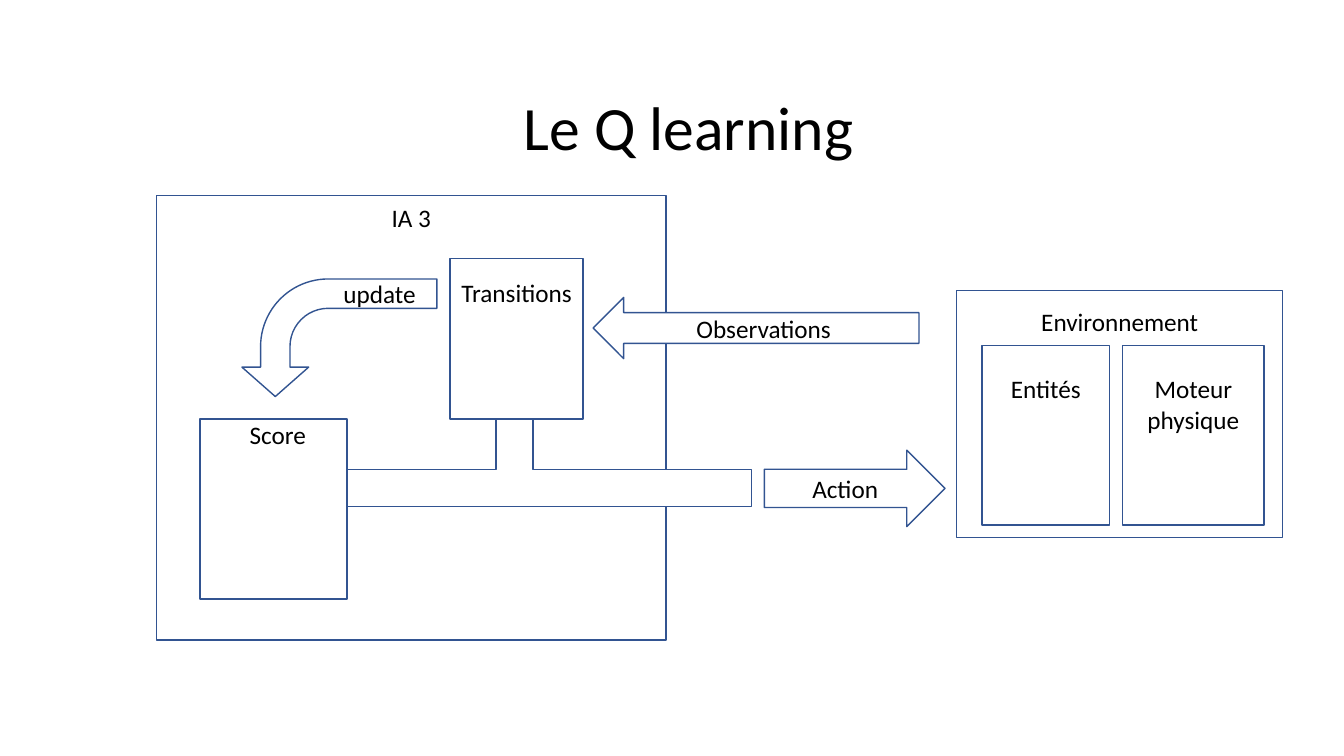
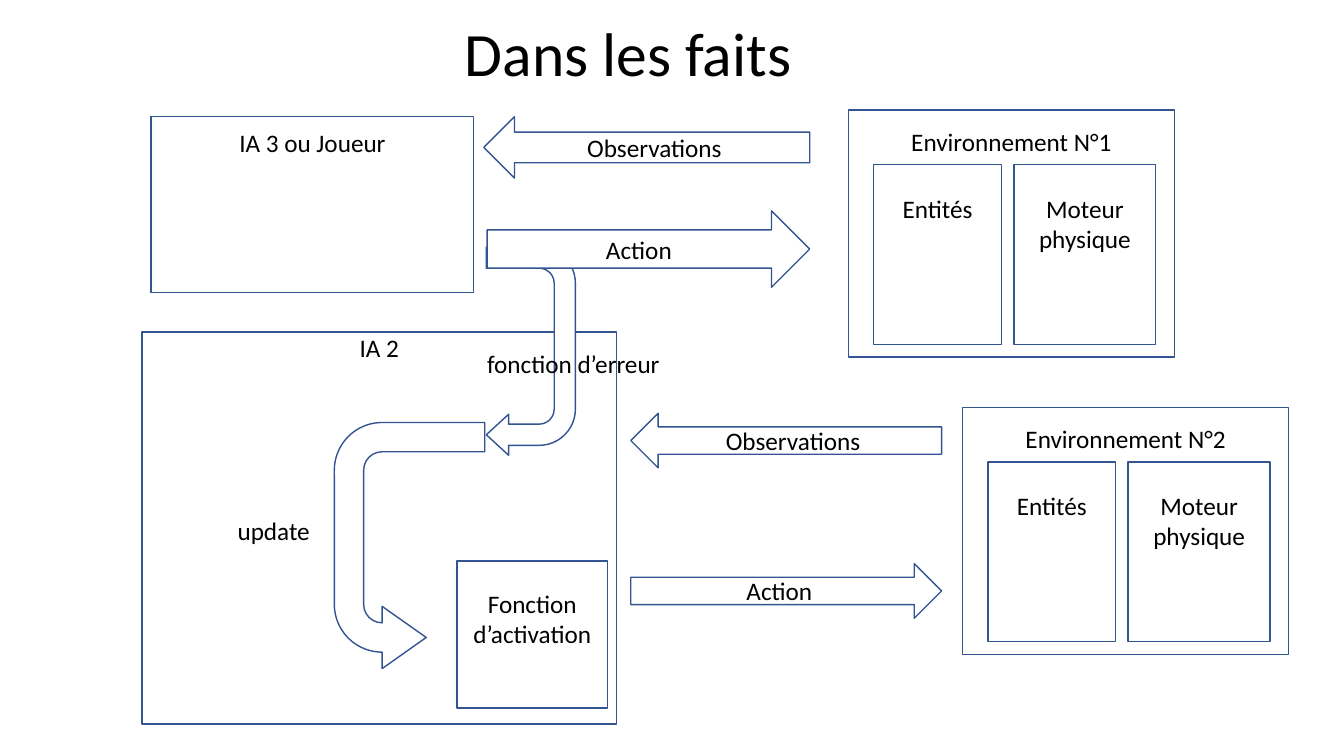
import pptx
import pptx.util
import pptx.dml.color
import pptx.enum.shapes
import pptx.enum.text

KIND = pptx.enum.shapes.MSO_SHAPE
ALIGN = pptx.enum.text.PP_ALIGN
ANCHOR = pptx.enum.text.MSO_ANCHOR

COLS, ROWS = 160, 90  # square cells, twelve to the inch
INK, PAPER, EDGE = "000000", "FFFFFF", "325491"
FONT = {"name": "Calibri", "bold": False}
BODY = {**FONT, "size": pptx.util.Pt(18)}
HEAD = {**FONT, "size": pptx.util.Pt(44)}


def cell(num):
    return pptx.util.Inches(num / 12)


def hue(code):
    return pptx.dml.color.RGBColor.from_string(code)


def apply(item, form):
    for name, value in form.items():
        setattr(item, name, value)


def write(shape, text, style, align, **frame):
    """Put one styled paragraph in a shape; frame holds text frame settings."""
    apply(shape.text_frame, {"word_wrap": True, **frame})
    para = shape.text_frame.paragraphs[0]
    para.text, para.alignment = text, align
    apply(para.font, style)
    para.font.color.rgb = hue(INK)
    return para


def title(sld, box, text):
    head = sld.shapes.title
    apply(head, dict(zip(("left", "top", "width", "height"), map(cell, box))))
    para = write(head, text, HEAD, ALIGN.CENTER, vertical_anchor=ANCHOR.MIDDLE)
    para.line_spacing = 0.9


def draw(sld, kind, box, text="", adj=(), turn=0, flip=None, **frame):
    """Outlined preset shape, its text centred unless frame says otherwise."""
    shape = sld.shapes.add_shape(kind, *map(cell, box))
    shape.shadow.inherit = False
    shape.fill.solid()
    shape.fill.fore_color.rgb = hue(PAPER)
    shape.line.color.rgb = hue(EDGE)
    shape.line.width = pptx.util.Pt(1)
    for i, value in enumerate(adj):
        shape.adjustments[i] = value
    shape.rotation = turn
    if flip:
        shape._element.spPr.xfrm.set(flip, "1")
    if text:
        write(shape, text, BODY, ALIGN.CENTER,
              **{"vertical_anchor": ANCHOR.MIDDLE, **frame})


def block(sld, box, text, drop, left=1.2):
    """Rectangle with its name set drop cells below the top edge."""
    draw(sld, KIND.RECTANGLE, box, text, vertical_anchor=ANCHOR.TOP,
         margin_top=cell(drop), margin_left=cell(left))


def label(sld, box, text):
    note = sld.shapes.add_textbox(*map(cell, box))
    write(note, text, BODY, ALIGN.LEFT, word_wrap=False)


def world(sld, x, y, name):
    """Environment with its two parts."""
    block(sld, (x, y, 38.8, 29.4), name, 1.9)
    for dx, wide, text in ((3, 15.2, "Entités"), (19.7, 16.9, "Moteur physique")):
        block(sld, (x + dx, y + 6.5, wide, 21.4), text, 3.4)


def flow(sld, seen, act):
    """Arrows between an agent and its environment."""
    draw(sld, KIND.LEFT_ARROW, seen, "Observations")
    draw(sld, KIND.RIGHT_ARROW, act, "Action")


def learner(sld, x, y):
    """Agent that scores its transitions."""
    block(sld, (x, y, 60.7, 52.9), "IA 3", 0.8)
    draw(sld, KIND.BENT_ARROW, (x + 14.8, y + 5.3, 14, 23.2),
         adj=(0.25, 0.284, 0.25, 0.575), turn=90, flip="flipV")
    draw(sld, KIND.LEFT_RIGHT_UP_ARROW, (x + 14.4, y + 24.3, 56.5, 12.7),
         adj=(0.443, 0.173, 0))
    block(sld, (x + 35, y + 7.5, 15.8, 19.1), "Transitions", 2.2)
    block(sld, (x + 5.2, y + 26.6, 17.5, 21.4), "Score", 0, 2.2)
    label(sld, (x + 21.1, y + 9.2, 11.2, 4.8), "update")


def student(sld, x, y):
    """Agent corrected by the error it is fed."""
    block(sld, (x, y, 56.5, 46.7), "IA 2", 0)
    block(sld, (x + 37.5, y + 27.3, 17.9, 17.5), "Fonction d’activation", 3.2)
    draw(sld, KIND.U_TURN_ARROW, (x + 17.2, y + 16.5, 29.3, 17.9),
         adj=(0.195, 0.207, 0.293, 0.438, 0.611), turn=270, flip="flipH")
    label(sld, (x + 10.2, y + 21.3, 11.9, 4.8), "update")
    draw(sld, KIND.U_TURN_ARROW, (x + 33.9, y - 3, 24.8, 10.6),
         adj=(0.238, 0.23, 0.25, 0.407, 1), turn=90)
    label(sld, (x + 39.9, y + 1.4, 23.3, 8.5), "fonction d’erreur")


def theory(sld):
    title(sld, (13, 6.8, 138, 17.4), "Le Q learning")
    learner(sld, 18.6, 23.3)
    world(sld, 113.9, 34.6, "Environnement")
    flow(sld, (70.6, 35.4, 38.8, 7.3), (91, 53.6, 21.5, 9.1))


def practice(sld):
    title(sld, (48.8, 1.7, 52, 10.1), "Dans les faits")
    block(sld, (18, 13.9, 38.4, 20.9), "IA 3 ou Joueur", 1.3)
    student(sld, 16.9, 39.5)
    world(sld, 101, 13.1, "Environnement N°1")
    world(sld, 114.6, 48.5, "Environnement N°2")
    flow(sld, (57.6, 13.9, 38.8, 7.3), (58, 25.1, 38.4, 9.1))
    flow(sld, (75.1, 49.2, 37, 6.5), (75.1, 67.1, 37, 6.5))


def main():
    deck = pptx.Presentation()
    deck.slide_width, deck.slide_height = cell(COLS), cell(ROWS)
    for build in (theory, practice):
        build(deck.slides.add_slide(deck.slide_layouts[5]))
    deck.save("out.pptx")


if __name__ == "__main__":
    main()
